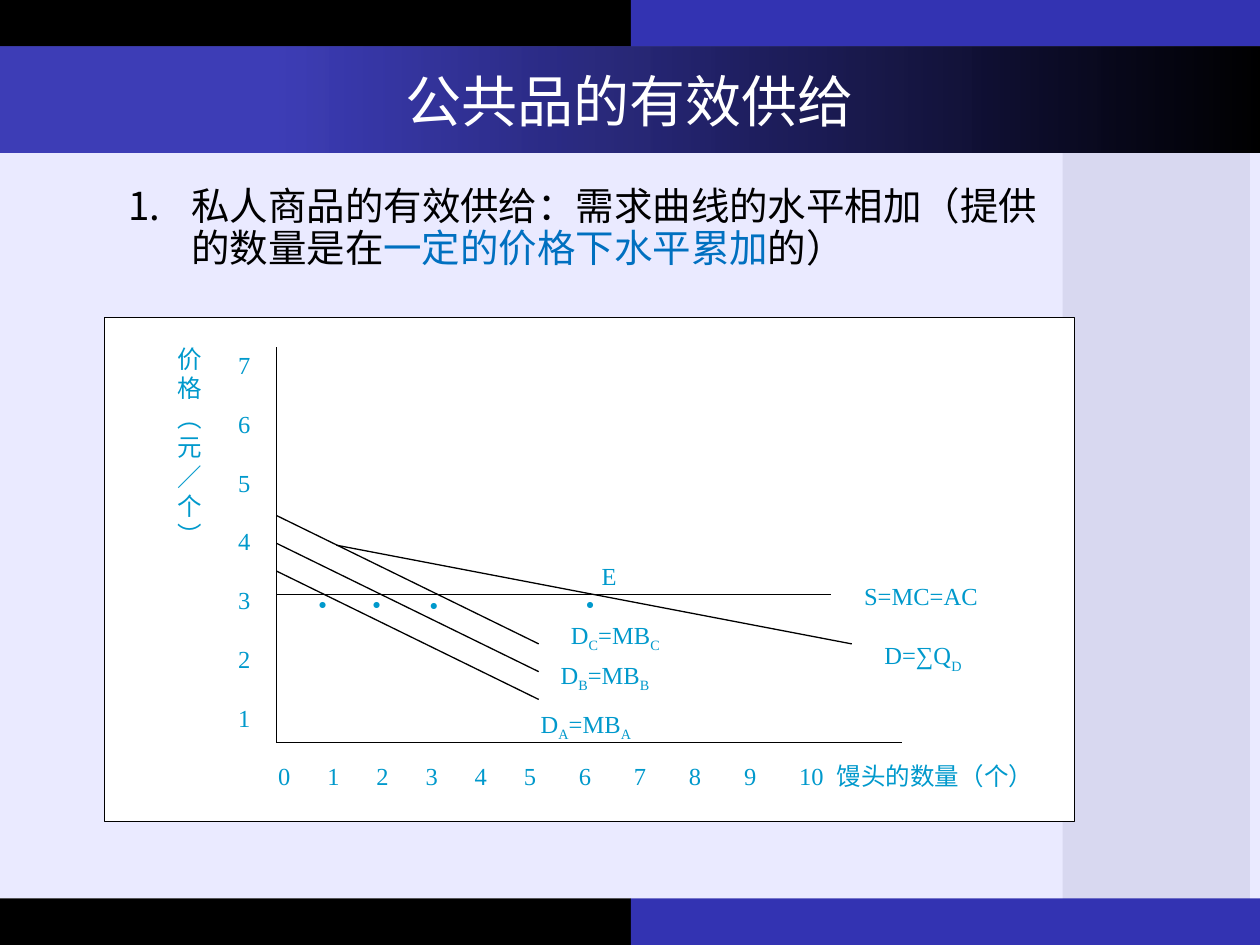
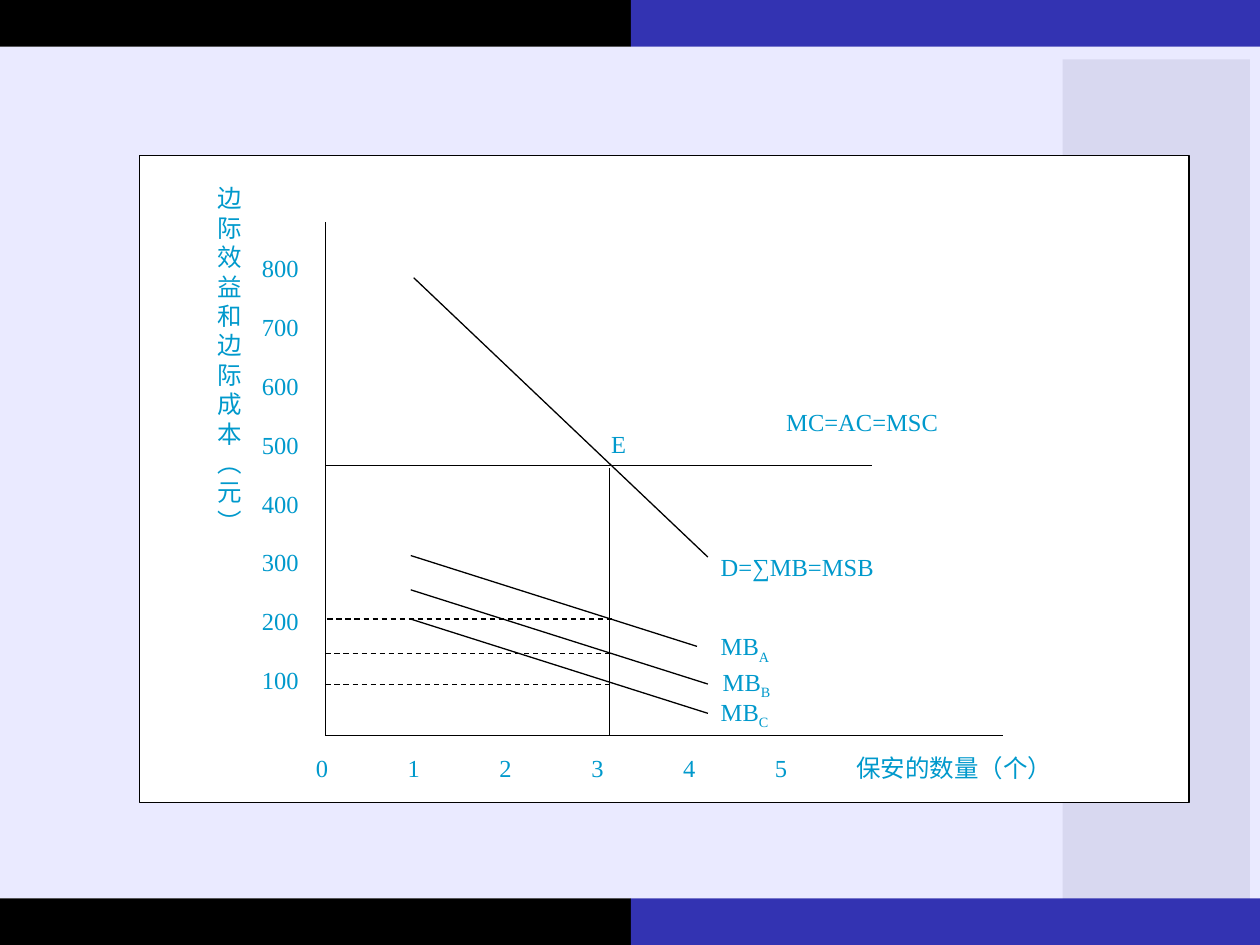
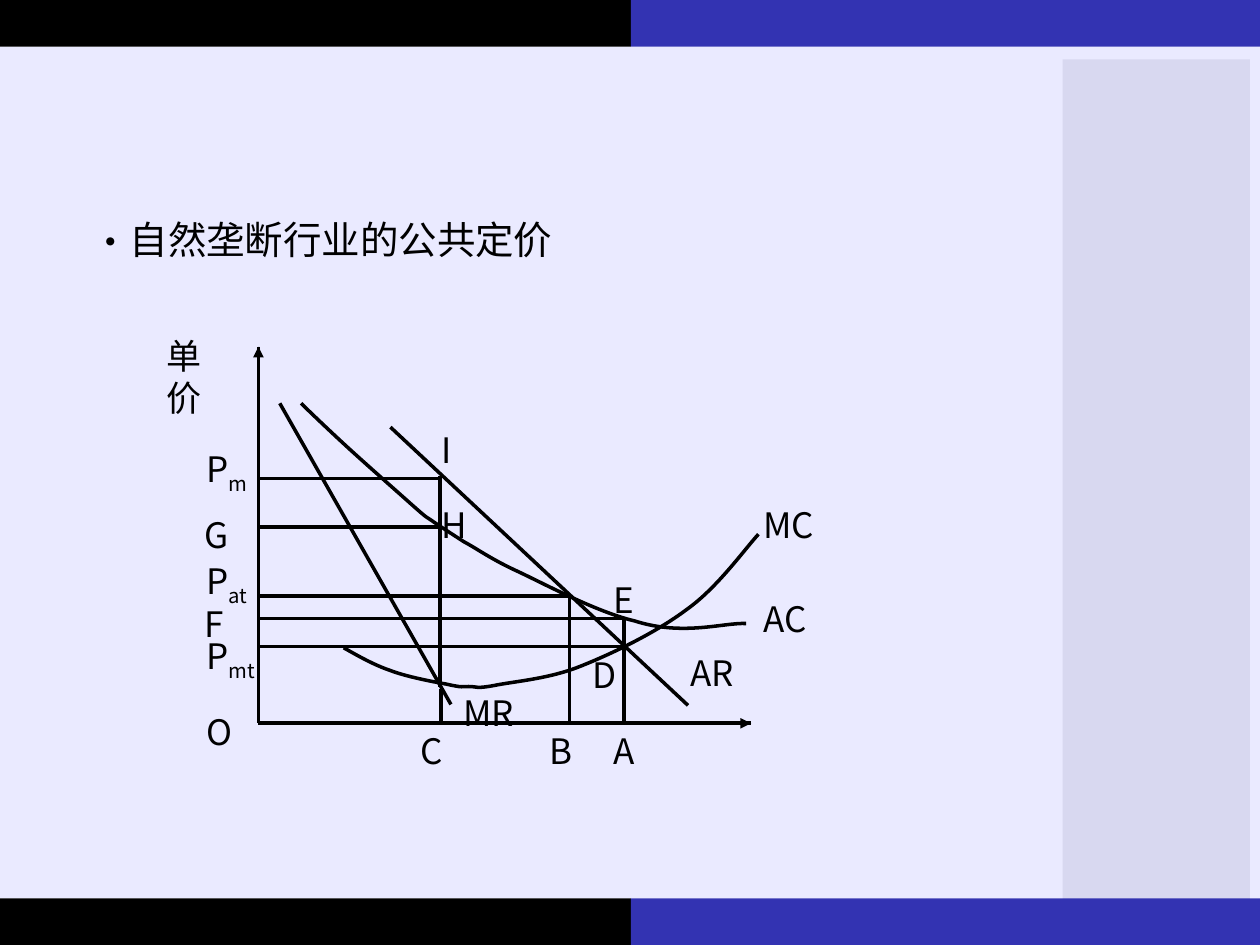
"""Build three slides on public goods supply and natural monopoly pricing."""
from lxml import etree
from pptx import Presentation
from pptx.dml.color import RGBColor
from pptx.enum.dml import MSO_LINE
from pptx.enum.shapes import MSO_CONNECTOR, MSO_SHAPE
from pptx.enum.text import MSO_ANCHOR, PP_ALIGN
from pptx.oxml.ns import qn
from pptx.util import Cm, Pt

BLACK = RGBColor(0x00, 0x00, 0x00)
WHITE = RGBColor(0xFF, 0xFF, 0xFF)
BLUE = RGBColor(0x33, 0x33, 0xB2)
PALE = RGBColor(0xEA, 0xEA, 0xFF)
STRIPE = RGBColor(0xD8, 0xD8, 0xF0)
ACCENT = RGBColor(0x00, 0x70, 0xC0)
TEAL = RGBColor(0x00, 0x99, 0xCC)
SERIF, SANS, TITLE_FONT = "Times New Roman", "Noto Sans CJK SC", "Noto Sans CJK JP"
RECT, STRAIGHT, DASH = MSO_SHAPE.RECTANGLE, MSO_CONNECTOR.STRAIGHT, MSO_LINE.DASH
CENTER, JUSTIFY, MIDDLE = PP_ALIGN.CENTER, PP_ALIGN.JUSTIFY, MSO_ANCHOR.MIDDLE

BANDS = [
    (0, 0.94, 25.4, 17.17, PALE),
    (0, 0, 12.72, 0.94, BLACK),
    (12.72, 0, 12.68, 0.94, BLUE),
    (21.42, 1.2, 3.78, 17.12, STRIPE),
    (0, 18.11, 12.72, 0.94, BLACK),
    (12.72, 18.11, 12.68, 0.94, BLUE),
]


def write(p, text, font, size, color):
    r = p.add_run()
    r.text = text
    r.font.size = Pt(size)
    r.font.color.rgb = color
    r.font.name = font
    asian = SANS if font == SERIF else font
    etree.SubElement(r.font._element, qn("a:ea"), typeface=asian)
    return r


def line(s, x1, y1, x2, y2, width=0.75, dash=None, arrow=False):
    c = s.shapes.add_connector(STRAIGHT, Cm(x1), Cm(y1), Cm(x2), Cm(y2))
    c.line.color.rgb = BLACK
    c.line.width = Pt(width)
    if dash:
        c.line.dash_style = dash
    if arrow:
        etree.SubElement(c.line._get_or_add_ln(), qn("a:tailEnd"), type="triangle")
    etree.SubElement(c._element.spPr, qn("a:effectLst"))


prs = Presentation()
prs.slide_width, prs.slide_height = Cm(25.4), Cm(19.05)
slides = [prs.slides.add_slide(prs.slide_layouts[6]) for _ in range(3)]
private, public, monopoly = slides

for s in slides:
    for x, y, w, h, color in BANDS:
        sp = s.shapes.add_shape(RECT, Cm(x), Cm(y), Cm(w), Cm(h))
        sp.shadow.inherit = False
        sp.fill.solid()
        sp.fill.fore_color.rgb = color
        sp.line.fill.background()

sp = private.shapes.add_shape(RECT, 0, Cm(0.94), Cm(25.4), Cm(2.14))
sp.shadow.inherit = False
sp.line.fill.background()
sp.fill.gradient()
sp.fill.gradient_angle = 0
start, end = sp.fill.gradient_stops
start.position, end.position = 0.22, 1
start.color.rgb, end.color.rgb = BLUE, BLACK
first_color = sp._element.spPr.find(".//" + qn("a:srgbClr"))
etree.SubElement(first_color, qn("a:alpha"), val="94000")
sp.text_frame.vertical_anchor = MIDDLE
p = sp.text_frame.paragraphs[0]
p.alignment = CENTER
write(p, "公共品的有效供给", TITLE_FONT, 32, WHITE)

BODIES = [
    (private, 2.34, 3.66, 19.1, 12.09, 1.27, "buAutoNum", {"type": "arabicPeriod"},
     [("私人商品的有效供给：需求曲线的水平相加（提供的数量是在", BLACK),
      ("一定的价格下水平累加", ACCENT), ("的）", BLACK)]),
    (monopoly, 1.59, 4.34, 19.94, 12.45, 0.64, "buChar", {"char": "•"},
     [("自然垄断行业的公共定价", BLACK)]),
]
for s, x, y, w, h, indent, bullet, attrs, runs in BODIES:
    tf = s.shapes.add_textbox(Cm(x), Cm(y), Cm(w), Cm(h)).text_frame
    tf.word_wrap = True
    p = tf.paragraphs[0]
    p.line_spacing = 0.9
    p.space_before = Pt(10)
    pPr = p._p.get_or_add_pPr()
    pPr.set("marL", str(Cm(indent)))
    pPr.set("indent", str(-Cm(indent)))
    etree.SubElement(pPr, qn("a:buFont"), typeface=SANS)
    etree.SubElement(pPr, qn("a:" + bullet), attrs)
    for text, color in runs:
        write(p, text, SANS, 22, color)

for s, x, y, w, h in [(private, 2.11, 6.4, 19.55, 10.16), (public, 2.81, 3.13, 21.16, 13.05)]:
    sp = s.shapes.add_shape(RECT, Cm(x), Cm(y), Cm(w), Cm(h))
    sp.shadow.inherit = False
    sp.fill.solid()
    sp.fill.fore_color.rgb = WHITE
    sp.line.color.rgb = BLACK
    sp.line.width = Pt(0.75)

line(private, 5.57, 14.97, 18.19, 14.97)
line(private, 5.57, 14.97, 5.57, 7)
line(private, 5.57, 11.99, 16.76, 11.99)
for i in range(3):
    y = 10.39 + 0.56 * i
    line(private, 5.57, y, 10.86, y + 2.59)
line(private, 6.78, 10.99, 17.17, 12.98)

line(public, 6.56, 14.83, 20.22, 14.83)
line(public, 6.56, 14.83, 6.56, 4.47)
line(public, 8.34, 5.6, 14.27, 11.23)
for y1, x2, y2 in [(11.2, 14.05, 13.03), (11.89, 14.27, 13.79), (12.48, 14.27, 14.38)]:
    line(public, 8.28, y1, x2, y2)
line(public, 6.56, 9.39, 17.58, 9.39)
line(public, 12.29, 9.43, 12.29, 14.83)
for x, y in [(6.6, 12.48), (6.56, 13.18), (6.56, 13.8)]:
    line(public, x, y, x + 5.74, y, dash=DASH)

line(monopoly, 5.21, 6.99, 5.21, 14.58, 2)
line(monopoly, 5.21, 14.58, 15.14, 14.58, 2)
line(monopoly, 5.21, 7.37, 5.21, 6.99, 2, arrow=True)
line(monopoly, 14.71, 14.58, 15.14, 14.58, 2, arrow=True)
line(monopoly, 5.64, 8.13, 9.09, 14.2, 2)
line(monopoly, 7.87, 8.61, 13.87, 14.22, 2)
for x1, x2, y in [
    (8.89, 5.21, 9.65), (8.89, 5.21, 10.62), (5.21, 11.46, 12.01),
    (12.58, 5.21, 12.47), (12.58, 6.48, 13.03), (6.48, 5.21, 13.03),
]:
    line(monopoly, x1, y, x2, y, 2)
for x, y1, y2 in [
    (8.89, 13.89, 14.58), (8.87, 13.84, 9.6), (11.48, 12.01, 14.6),
    (12.58, 12.85, 14.58), (12.58, 12.85, 12.47),
]:
    line(monopoly, x, y1, x, y2, 2)
line(monopoly, 12.58, 12.47, 12.58, 12.73)

AVERAGE_COST = [
    (6.07, 8.13), (6.22, 8.28), (6.65, 8.69), (7.01, 9.02), (7.37, 9.35), (7.95, 9.86),
    (8.23, 10.11), (8.69, 10.52), (8.56, 10.39), (8.74, 10.52), (8.92, 10.64), (9.07, 10.74),
    (9.35, 10.92), (9.63, 11.07), (9.91, 11.28), (10.46, 11.53), (11.05, 11.81), (12.04, 12.34),
    (12.8, 12.52), (13.77, 12.83), (14.58, 12.55), (15.04, 12.57),
]
MARGINAL_COST = [
    (6.93, 13.06), (7.06, 13.13), (7.49, 13.39), (7.85, 13.51), (8.18, 13.64), (8.71, 13.74),
    (8.99, 13.79), (9.35, 13.87), (9.3, 13.84), (9.45, 13.84), (9.63, 13.84), (9.58, 13.89),
    (9.96, 13.82), (10.34, 13.74), (11.05, 13.69), (11.68, 13.44), (12.34, 13.18), (13.23, 12.75),
    (13.84, 12.29), (14.45, 11.86), (14.99, 11.1), (15.29, 10.77),
]
for curve in (AVERAGE_COST, MARGINAL_COST):
    points = [(Cm(x), Cm(y)) for x, y in curve]
    builder = monopoly.shapes.build_freeform(*points[0])
    builder.add_line_segments(points[1:], close=False)
    sp = builder.convert_to_shape()
    sp.shadow.inherit = False
    sp.fill.background()
    sp.line.color.rgb = BLACK
    sp.line.width = Pt(2)
    segments = list(sp._element.iter(qn("a:lnTo")))
    for i in range(0, len(segments), 3):
        bezier = etree.Element(qn("a:cubicBezTo"))
        segments[i].addprevious(bezier)
        for segment in segments[i:i + 3]:
            bezier.append(segment[0])
            segment.getparent().remove(segment)

PRIVATE_LABELS = [
    (3.33, 6.81, 1.02, 3.71, "价格︵元∕个︶"),
    (5.36, 15.21, 16.28, 1.45, "\t".join([*map(str, range(11)), "馒头的数量（个）"])),
    (4.55, 6.93, 1.02, 6.71, "\n".join(map(str, range(7, 0, -1)))),
    (17.17, 11.58, 2.84, 0.71, "S=MC=AC"),
    (10.65, 14.17, 2.44, 0.71, "D_A_=MB_A"),
    (11.05, 13.18, 3.05, 0.71, "D_B_=MB_B"),
    (11.26, 12.37, 2.44, 0.71, "D_C_=MB_C"),
    (11.88, 11.18, 1.02, 0.71, "E"),
    (17.58, 12.78, 2.64, 0.71, "D=∑Q_D"),
    (11.56, 11.53, 0.64, 0.53, "_●"),
    (8.41, 11.56, 0.64, 0.53, "_●"),
    (7.26, 11.53, 0.64, 0.53, "_●"),
    (6.17, 11.53, 0.64, 0.53, "_●"),
]
PUBLIC_LABELS = [
    (4.14, 3.57, 1.09, 7.34, "边际效益\n和边际成本︵元︶"),
    (6.12, 15.06, 16.97, 0.84, "\t".join([*map(str, range(6)), "保安的数量（个）"])),
    (5.03, 4.98, 1.75, 9.12, "\n".join(map(str, range(800, 0, -100)))),
    (14.28, 12.6, 2.64, 0.84, "MB_A"),
    (14.32, 13.31, 3.3, 0.84, "MB_B"),
    (14.28, 13.92, 2.64, 0.84, "MB_C"),
    (14.28, 11, 3.96, 0.84, "D=∑MB=MSB"),
    (15.6, 8.08, 3.73, 0.84, "MC=AC=MSC"),
    (12.07, 8.53, 2.87, 0.84, "E"),
]
MONOPOLY_LABELS = [
    (3.1, 6.61, 1.73, 2.29, "单价"),
    (3.91, 8.89, 1.73, 1.14, "P_m"),
    (3.91, 11.15, 1.73, 1.14, "P_at"),
    (3.91, 12.67, 1.73, 1.14, "P_mt"),
    (8.66, 8.51, 1.3, 1.14, "I"),
    (8.66, 10.03, 1.3, 1.14, "H"),
    (12.12, 11.53, 1.3, 1.14, "E"),
    (15.14, 10.03, 1.73, 1.14, "MC"),
    (15.14, 11.92, 1.73, 1.14, "AC"),
    (11.69, 13.05, 1.3, 1.14, "D"),
    (9.09, 13.82, 1.73, 1.14, "MR"),
    (13.67, 13, 1.73, 1.14, "AR"),
    (3.91, 14.2, 1.3, 1.14, "O"),
    (8.23, 14.58, 1.3, 1.14, "C"),
    (10.82, 14.58, 1.3, 1.14, "B"),
    (12.12, 14.58, 1.3, 1.14, "A"),
    (3.88, 10.22, 0.97, 0.81, "G"),
    (3.88, 12.02, 0.97, 0.81, "F"),
]
PRIVATE_TABS = [0.99 * i for i in range(1, 6)] + [4.95 + 1.11 * i for i in range(1, 6)] + [11.26]
PUBLIC_TABS = [1.85 * i for i in range(1, 6)] + [10.89]

for s, labels, font, size, color, tabs in [
    (private, PRIVATE_LABELS, SERIF, 14, TEAL, PRIVATE_TABS),
    (public, PUBLIC_LABELS, SERIF, 14, TEAL, PUBLIC_TABS),
    (monopoly, MONOPOLY_LABELS, SANS, 20, BLACK, []),
]:
    pitch = Pt(1.2 * size)
    for x, y, w, h, text in labels:
        tf = s.shapes.add_textbox(Cm(x), Cm(y), Cm(w), Cm(h)).text_frame
        tf.word_wrap = True
        if "_" in text:
            tf.margin_top += Pt(0.17 * size)
        for i, row in enumerate(text.split("\n")):
            p = tf.add_paragraph() if i else tf.paragraphs[0]
            p.alignment = JUSTIFY
            p.line_spacing = pitch
            if row.isdigit():
                p.space_after = pitch
            if "\t" in row:
                tab_list = etree.SubElement(p._p.get_or_add_pPr(), qn("a:tabLst"))
                for stop in tabs:
                    etree.SubElement(tab_list, qn("a:tab"), pos=str(Cm(stop)), algn="l")
            for j, part in enumerate(row.split("_")):
                if part:
                    r = write(p, part, font, size, color)
                    if j % 2:
                        r.font._element.set("baseline", "-25000")

prs.save("out.pptx")
